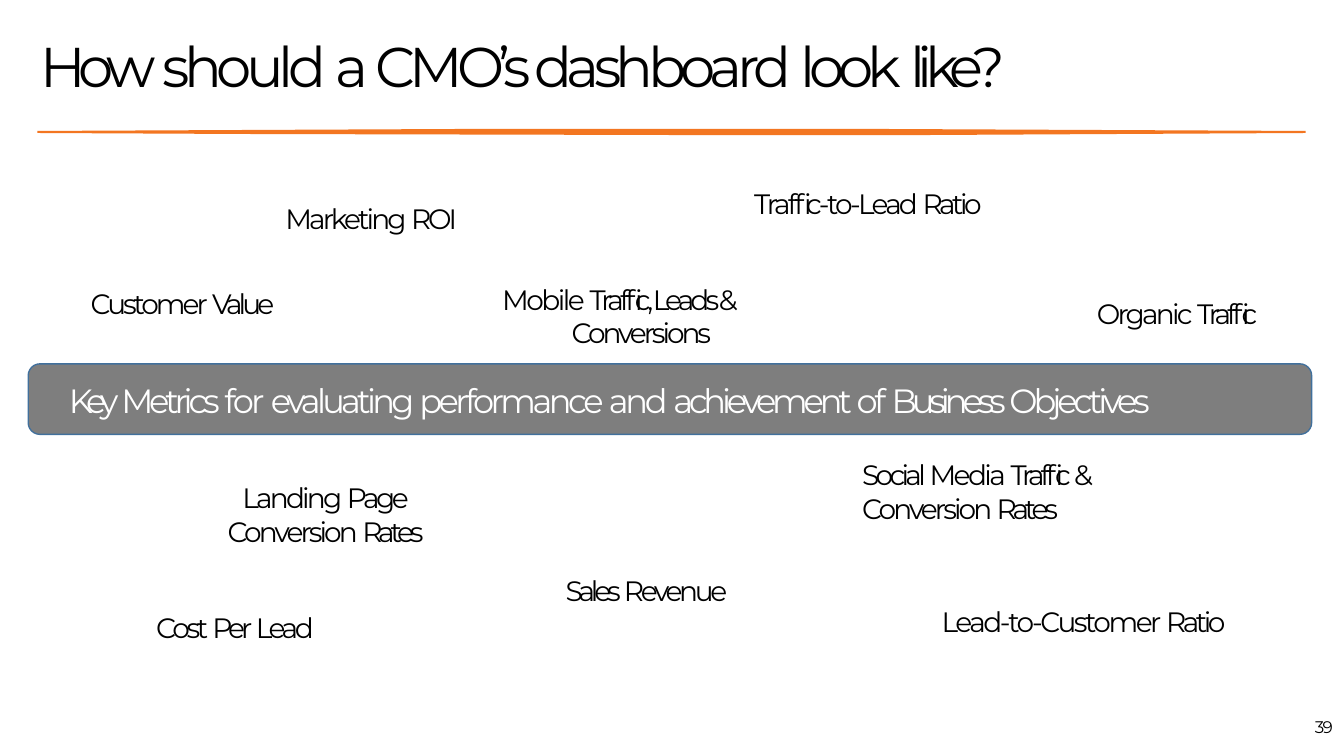
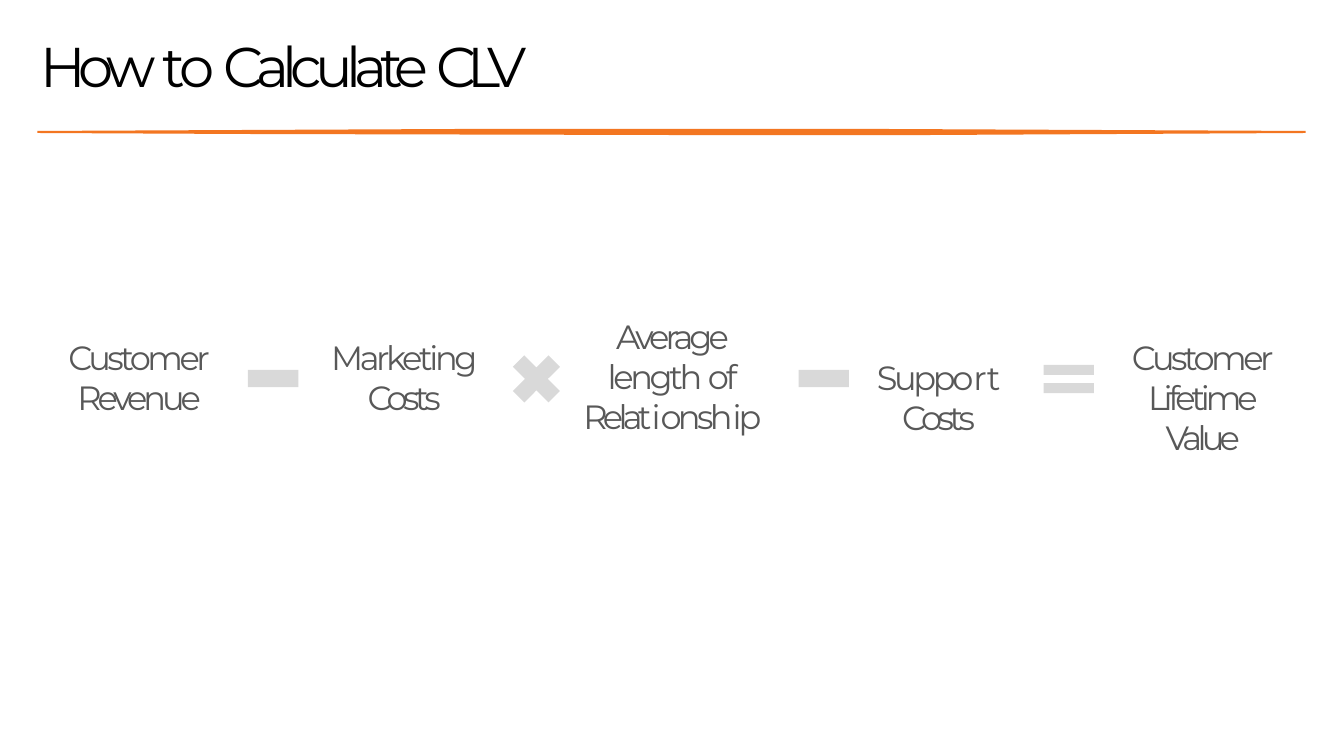
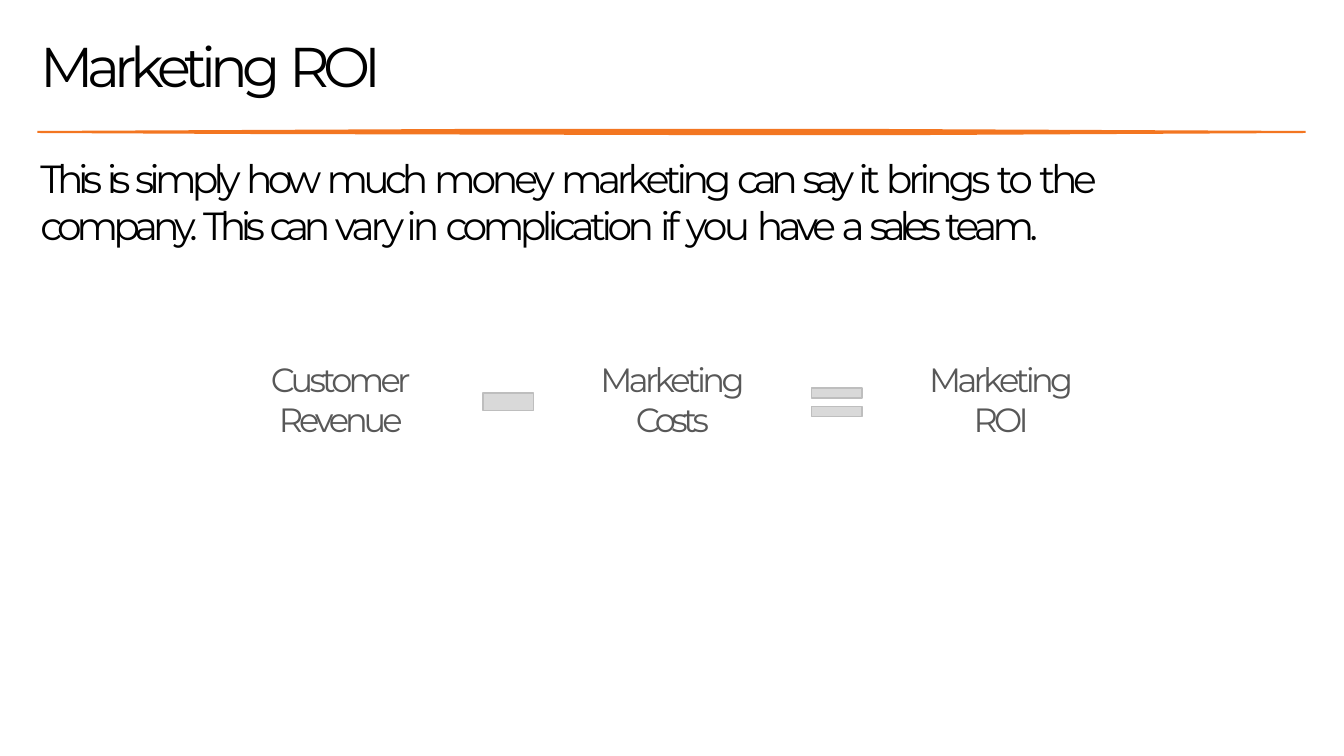
import pptx
import pptx.util
import pptx.dml.color
import pptx.enum.shapes
import pptx.enum.text

PX = 9144  # 100 px to the inch
FONT = "Montserrat"
RGB = pptx.dml.color.RGBColor
BLACK = RGB(0x00, 0x00, 0x00)
WHITE = RGB(0xFF, 0xFF, 0xFF)
ORANGE = RGB(0xF3, 0x76, 0x21)
SLATE = RGB(0x58, 0x58, 0x58)
GRAY = RGB(0x7E, 0x7E, 0x7E)
BLUE = RGB(0x41, 0x70, 0x9C)
SILVER = RGB(0xD9, 0xD9, 0xD9)
EDGE = RGB(0xBE, 0xBE, 0xBE)
SHAPE = pptx.enum.shapes.MSO_SHAPE
ALIGN = pptx.enum.text.PP_ALIGN
ANCHOR = pptx.enum.text.MSO_ANCHOR

RULE = [(877, 128), (456, 128), (37, 130), (37, 132), (239, 133),
        (667, 134), (921, 134), (1295, 132), (1295, 130)]


def scale(*nums):
    return [pptx.util.Emu(num * PX) for num in nums]


def write(frame, lines, size, color, align=ALIGN.LEFT, left=1, first=0):
    """Each line is a list of (text, points by which letters are tightened)."""
    frame.word_wrap = True
    frame.auto_size = pptx.enum.text.MSO_AUTO_SIZE.NONE
    frame.vertical_anchor = ANCHOR.TOP
    frame.margin_left = frame.margin_right = frame.margin_bottom = 0
    frame.margin_top = PX
    for row, line in enumerate(lines):
        para = frame.add_paragraph() if row else frame.paragraphs[0]
        para.alignment = align
        para.space_before = pptx.util.Pt(0 if row else 1)
        props = para._p.get_or_add_pPr()
        props.set("marL", str(left * PX))
        props.set("indent", str(first * PX))
        for text, tight in line:
            run = para.add_run()
            run.text = text
            run.font.name = FONT
            run.font.size = pptx.util.Pt(size)
            run.font.color.rgb = color
            run._r.get_or_add_rPr().set("spc", str(round(-100 * tight)))


def label(slide, box, lines, size, color=BLACK, **style):
    shape = slide.shapes.add_textbox(*scale(*box))
    write(shape.text_frame, lines, size, color, **style)


def paint(shape, fill, line=None):
    shape.shadow.inherit = False
    shape.fill.solid()
    shape.fill.fore_color.rgb = fill
    if line is None:
        shape.line.fill.background()
    else:
        shape.line.color.rgb = line
        shape.line.width = pptx.util.Pt(0.96)


def block(slide, kind, box, fill, line=None):
    shape = slide.shapes.add_shape(kind, *scale(*box))
    paint(shape, fill, line)
    return shape


def start(deck, title):
    """Slide with its title and the tapered rule below it."""
    slide = deck.slides.add_slide(deck.slide_layouts[5])
    head = slide.shapes.title
    head.left, head.top, head.width, head.height = scale(39, 30, 1200, 69)
    write(head.text_frame, [title], 40, BLACK)
    build = slide.shapes.build_freeform(*RULE[0], scale=PX)
    build.add_line_segments(RULE[1:], close=True)
    paint(build.convert_to_shape(), ORANGE)
    return slide


def band(slide, box, line):
    shape = block(slide, SHAPE.ROUNDED_RECTANGLE, box, GRAY, BLUE)
    write(shape.text_frame, [line], 24, WHITE, left=37)
    shape.text_frame.vertical_anchor = ANCHOR.MIDDLE


def term(slide, mid, top, lines):
    """Term of a formula, centred on mid."""
    wide = 200
    label(slide, (mid - wide // 2, top, wide, 41 * len(lines)), lines, 24,
          SLATE, align=ALIGN.CENTER, left=0)


def sign(slide, kind, left, mid, line=None):
    """Operator of a formula, centred on the height mid."""
    wide = 50
    if kind == "times":
        cross = block(slide, SHAPE.CROSS, (left, mid - 25, wide, wide), SILVER, line)
        cross.adjustments[0] = 0.34
        cross.rotation = 45
        return
    tops, high = {"minus": ([-9], 17), "equals": ([-14, 4], 10)}[kind]
    for top in tops:
        block(slide, SHAPE.RECTANGLE, (left, mid + top, wide, high), SILVER, line)


def metrics(deck):
    slide = start(deck, [("How ", 5), ("should ", 4), ("a ", 5.4),
                         ("CMO’s dashboard ", 4), ("look ", 4.2), ("like?", 5.5)])
    # Single-line metrics
    for left, top, line in [
        (560, 568, [("Sales ", 3), ("Revenue", 2.4)]),
        (154, 605, [("Cost ", 2.4), ("Per ", 2.8), ("Lead", 2.5)]),
        (89, 283, [("Customer ", 2.2), ("Value", 2.8)]),
        (282, 199, [("Marketing ", 2.1), ("ROI", 2.2)]),
        (747, 184, [("Traffic-to-Lead ", 2), ("Ratio", 2.5)]),
        (933, 599, [("Lead-to-Customer ", 1.8), ("Ratio", 2.5)]),
        (1087, 293, [("Organic ", 2), ("Traffic", 2.9)]),
    ]:
        label(slide, (left, top, 320 if left < 1000 else 200, 36), [line], 20)
    # Two-line metrics
    rates = [("Conversion ", 2.1), ("Rates", 3)]
    label(slide, (213, 476, 220, 70), [[("Landing ", 2), ("Page", 2.5)], rates],
          20, align=ALIGN.CENTER, left=0)
    label(slide, (853, 453, 249, 70),
          [[("Social ", 2.6), ("Media ", 1.9), ("Traffic ", 2.9), ("&", 2.8)], rates],
          20, left=2)
    label(slide, (497, 279, 285, 70),
          [[("Mobile ", 1.8), ("Traffic, Leads & ", 2.8), ("Conversions", 2.2)]],
          20, left=70, first=-69)
    # Central band and page number
    band(slide, (28, 361, 1273, 70),
         [("Key ", 4.2), ("Metrics ", 3), ("for ", 1.9), ("evaluating ", 2.7),
          ("performance ", 2.5), ("and ", 2.3), ("achievement ", 3),
          ("of ", 2.2), ("Business ", 3.6), ("Objectives", 2.9)])
    label(slide, (1292, 710, 35, 23), [[("39", 1.2)]], 12, left=12)


def value(deck):
    slide = start(deck, [("How ", 5), ("to ", 3.7), ("Calculate ", 5), ("CLV", 6.7)])
    for mid, top, lines in [
        (138, 333, [[("Customer", 2.5)], [("Revenue", 2.9)]]),
        (401, 333, [[("Marketing", 2.4)], [("Costs", 3.2)]]),
        (667, 312, [[("Average", 2.8)], [("length ", 2.4), ("of", 2.2)],
                    [("Relat", 3.4), ("i", 2), ("onsh", 2.6), ("ip", 2.1)]]),
        (931, 353, [[("Suppo", 2.4), ("r", 0.6), ("t", 2.5)], [("Costs", 3.2)]]),
        (1193, 333, [[("Customer", 2.5)], [("Lifetime", 3)], [("Value", 3.4)]]),
    ]:
        term(slide, mid, top, lines)
    for kind, left in [("minus", 246), ("times", 507), ("minus", 792), ("equals", 1035)]:
        sign(slide, kind, left, 376)


def profit(deck):
    slide = start(deck, [("Marketing ", 4.3), ("ROI", 4.5)])
    label(slide, (39, 152, 1156, 96), [[
        ("This ", 4), ("is ", 4.2), ("simply ", 3.4), ("how ", 3.5), ("much ", 3.4),
        ("money ", 2.9), ("marketing ", 3.2), ("can ", 3.9), ("say ", 4.2),
        ("it ", 3.3), ("brings ", 2.9), ("to ", 2.6), ("the ", 3.1),
        ("company. ", 3.5), ("This ", 4), ("can ", 3.9), ("vary in ", 2.9),
        ("complication ", 3.2), ("if ", 2.9), ("you ", 2.6), ("have ", 3.4),
        ("a ", 3.8), ("sales ", 4.3), ("team.", 3.3)]], 28)
    for mid, lines in [
        (338, [[("Customer", 2.7)], [("Revenue", 2.9)]]),
        (667, [[("Marketing", 2.6)], [("Costs", 3.2)]]),
        (993, [[("Marketing", 2.6)], [("ROI", 2.7)]]),
    ]:
        term(slide, mid, 355, lines)
    for kind, left in [("minus", 479), ("equals", 805)]:
        sign(slide, kind, left, 399, EDGE)


def main():
    deck = pptx.Presentation()
    deck.slide_width, deck.slide_height = scale(1333, 750)
    for make in (metrics, value, profit):
        make(deck)
    deck.save("out.pptx")


if __name__ == "__main__":
    main()
